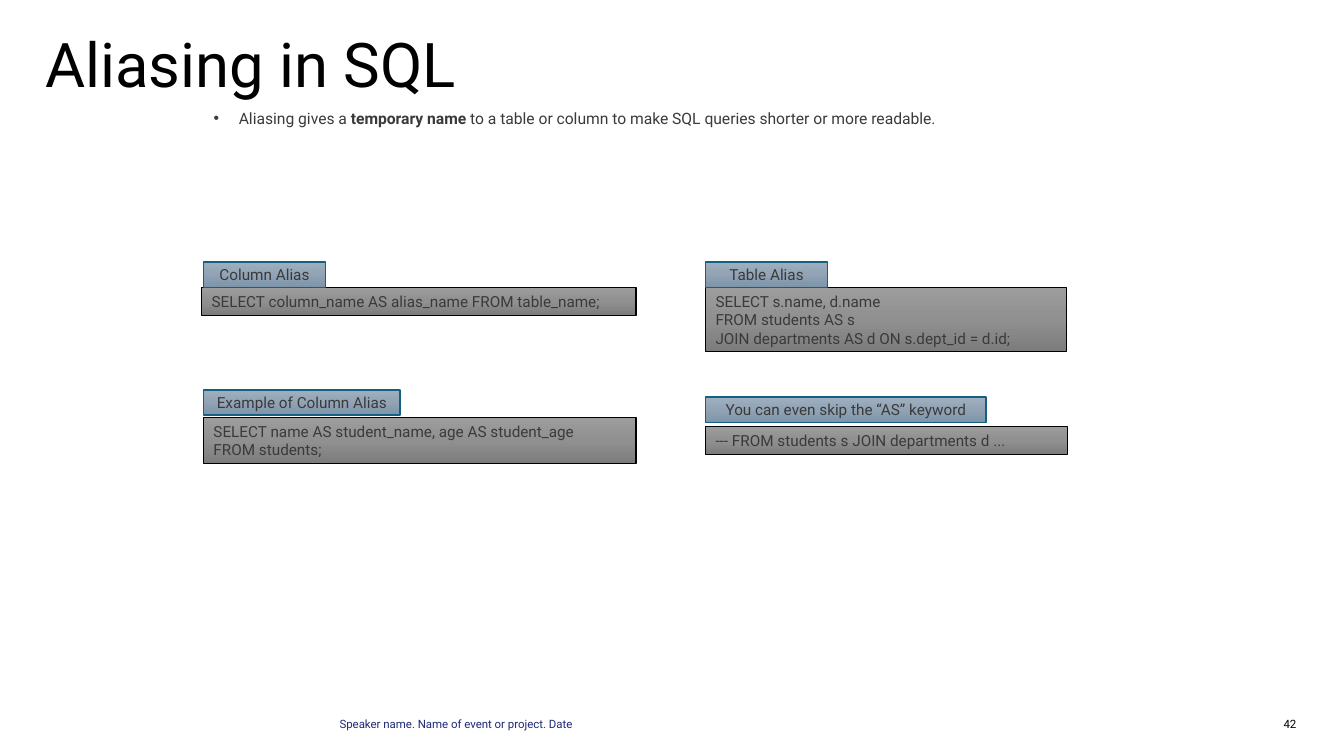
import copy

import pptx
import pptx.dml.color
import pptx.enum.shapes
import pptx.enum.text
import pptx.oxml
import pptx.oxml.ns
import pptx.util

Pt = pptx.util.Pt
RGBColor = pptx.dml.color.RGBColor
Align = pptx.enum.text.PP_ALIGN
Anchor = pptx.enum.text.MSO_ANCHOR
AutoSize = pptx.enum.text.MSO_AUTO_SIZE

BLACK = RGBColor(0x00, 0x00, 0x00)
INK = RGBColor(0x3A, 0x3A, 0x3A)
NAVY = RGBColor(0x1E, 0x2A, 0x78)
TEAL = RGBColor(0x15, 0x60, 0x82)
GREYS = (RGBColor(0x9D, 0x9D, 0x9D), RGBColor(0x90, 0x90, 0x90), RGBColor(0x7C, 0x7C, 0x7C))
BLUES = (RGBColor(0x9E, 0xAF, 0xBF), RGBColor(0x91, 0xA3, 0xB4), RGBColor(0x7C, 0x95, 0xAB))

FONT = "Roboto"
CODE_SIZE = 10.9
CODE_LINE = 12.9
CODE_PADDING = 7.2
TAG_HEIGHT = 18
LEFT_COLUMN, RIGHT_COLUMN = 145.4, 504


def write(frame, lines, size, color=INK, align=Align.LEFT, anchor=Anchor.TOP,
          insets=(7.2, 3.6), spacing=None, bullet=None, indent=18):
    """Fill a text frame; each line is a list of (text, bold) runs."""
    frame.word_wrap = True
    frame.auto_size = AutoSize.NONE
    frame.vertical_anchor = anchor
    frame.margin_left = frame.margin_right = Pt(insets[0])
    frame.margin_top = frame.margin_bottom = Pt(insets[1])
    for number, line in enumerate(lines):
        paragraph = frame.add_paragraph() if number else frame.paragraphs[0]
        if bullet:
            properties = paragraph._p.get_or_add_pPr()
            properties.set("marL", str(Pt(indent)))
            properties.set("indent", str(-Pt(indent)))
            properties.append(pptx.oxml.parse_xml(
                f'<a:buChar {pptx.oxml.ns.nsdecls("a")} char="{bullet}"/>'))
        paragraph.alignment = align
        paragraph.space_before = Pt(0)
        if spacing:
            paragraph.line_spacing = spacing
        for text, bold in line:
            run = paragraph.add_run()
            run.text = text
            run.font.name = FONT
            run.font.size = Pt(size)
            run.font.bold = bold
            run.font.color.rgb = color


def place(shape, left, top, width, height):
    shape.left, shape.top = Pt(left), Pt(top)
    shape.width, shape.height = Pt(width), Pt(height)


def add_panel(slide, left, top, width, height, shades, border):
    """Add a bordered rectangle shaded from top to bottom in three colours."""
    panel = slide.shapes.add_shape(pptx.enum.shapes.MSO_SHAPE.RECTANGLE,
                                   Pt(left), Pt(top), Pt(width), Pt(height))
    panel.shadow.inherit = False
    panel.fill.gradient()
    panel.fill.gradient_angle = 270
    stop_list = panel.element.spPr.find(".//" + pptx.oxml.ns.qn("a:gsLst"))
    stop_list.insert(1, copy.deepcopy(stop_list[0]))
    for stop, shade, position in zip(panel.fill.gradient_stops, shades, (0, 0.5, 1)):
        stop.color.rgb = shade
        stop.position = position
    panel.line.color.rgb = border
    panel.line.width = Pt(1)
    return panel


def add_alias_block(slide, left, top, tag, tag_width, code, code_width, gap=0, code_shift=0):
    """Add a code panel with its heading tag above it."""
    code_panel = add_panel(slide, left + code_shift, top + TAG_HEIGHT + gap, code_width,
                           CODE_LINE * len(code) + CODE_PADDING, GREYS, BLACK)
    write(code_panel.text_frame, [[(line, False)] for line in code], CODE_SIZE)
    code_panel.text_frame.auto_size = AutoSize.SHAPE_TO_FIT_TEXT
    tag_panel = add_panel(slide, left, top, tag_width, TAG_HEIGHT, BLUES, TEAL)
    write(tag_panel.text_frame, [[(tag, False)]], CODE_SIZE,
          align=Align.CENTER, anchor=Anchor.MIDDLE)


def add_heading(slide, left, top, width):
    title, body = slide.shapes.title, slide.placeholders[1]
    place(title, left, top, width, 40.3)
    write(title.text_frame, [[("Aliasing in SQL", False)]], 44, BLACK,
          insets=(0, 0), spacing=0.9)
    place(body, LEFT_COLUMN, top + 52.5, 668.9, 19.4)
    write(body.text_frame,
          [[("Aliasing gives a ", False), ("temporary name", True),
            (" to a table or column to make SQL queries shorter or more readable.", False)]],
          11.2, spacing=0.8, bullet="•")


def add_footer(slide, top):
    for text, left, width, color, align in (
            ("42", 891.4, 34.6, BLACK, Align.RIGHT),
            ("Speaker name. Name of event or project. Date", 242.6, 470.2, NAVY, Align.LEFT)):
        note = slide.shapes.add_textbox(Pt(left), Pt(top), Pt(width), Pt(13))
        write(note.text_frame, [[(text, False)]], 8.2, color, align,
              insets=(0, 0), spacing=Pt(8.2))


def add_alias_slide(deck):
    slide = deck.slides.add_slide(deck.slide_layouts[1])
    add_heading(slide, 32.4, 24.5, 825)
    add_footer(slide, 514)
    add_alias_block(slide, LEFT_COLUMN, 187.2, "Column Alias", 87,
                    ["SELECT column_name AS alias_name FROM table_name;"],
                    310.3, code_shift=-1.4)
    add_alias_block(slide, LEFT_COLUMN, 278.6, "Example of Column Alias", 140.4,
                    ["SELECT name AS student_name, age AS student_age", "FROM students;"],
                    308.9, gap=1.5)
    add_alias_block(slide, RIGHT_COLUMN, 187.2, "Table Alias", 87,
                    ["SELECT s.name, d.name", "FROM students AS s",
                     "JOIN departments AS d ON s.dept_id = d.id;"], 257.8)
    add_alias_block(slide, RIGHT_COLUMN, 283.7, "You can even skip the “AS” keyword", 200.2,
                    ["--- FROM students s JOIN departments d ..."], 258.5, gap=2.9)


def main():
    deck = pptx.Presentation()
    deck.slide_width, deck.slide_height = Pt(960), Pt(540)
    add_alias_slide(deck)
    deck.save("out.pptx")


if __name__ == "__main__":
    main()
